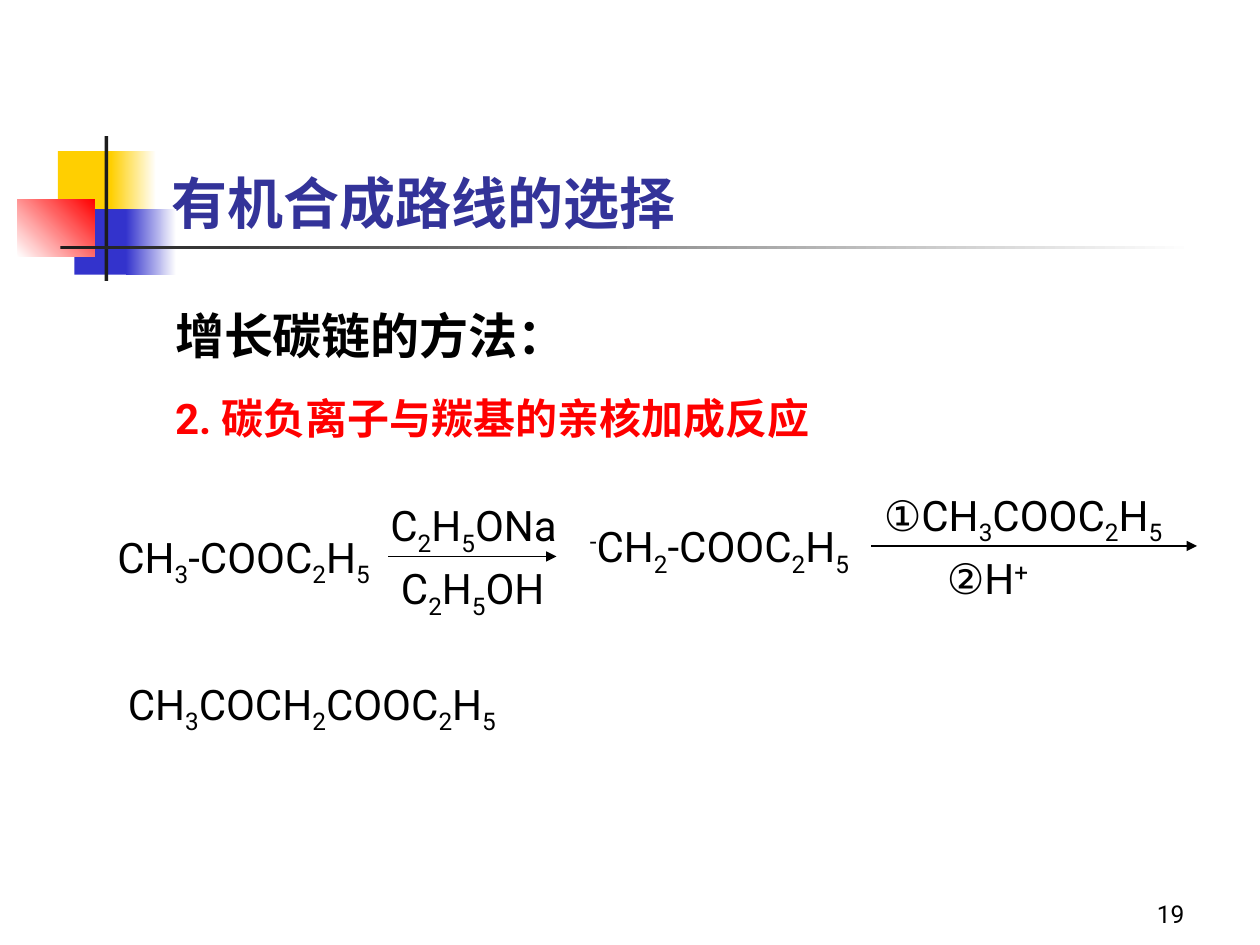
from itertools import groupby

from lxml.etree import SubElement
from pptx import Presentation
from pptx.dml.color import RGBColor
from pptx.enum.shapes import MSO_CONNECTOR, MSO_SHAPE
from pptx.enum.text import MSO_ANCHOR, MSO_AUTO_SIZE, PP_ALIGN
from pptx.oxml.ns import qn
from pptx.util import Inches, Pt

FONT = "Roboto"
BLACK, DARK, WHITE = "000000", "1C1C1C", "FFFFFF"
YELLOW, BLUE, RED = "FFCF01", "3333CC", "FF0000"
SUPERSCRIPTS = {"⁺": "+", "⁻": "-"}

ORNAMENT = [
    (0.46, 1.2, 0.48, 0.52, [YELLOW], 0),
    (0.88, 1.2, 0.36, 0.52, [YELLOW, WHITE], 0),
    (0.59, 1.66, 0.46, 0.52, [BLUE], 0),
    (1, 1.66, 0.4, 0.52, [BLUE, WHITE], 0),
    (0.14, 1.58, 0.61, 0.46, [WHITE, RED], 45),
    (0.83, 1.08, 0.03, 1.15, [DARK], 0),
    (0.48, 1.95, 9, 0.03, [DARK, WHITE], 0),
]
FORMULAS = [
    ("CH3-COOC2H5", 10, 50, 29),
    ("C2H5ONa", 36, 47, 21),
    ("C2H5OH", 37, 53, 21),
    ("⁻CH2-COOC2H5", 55, 49, 32),
    ("①CH3COOC2H5", 83, 46, 32),
    ("②H⁺", 89, 52, 13),
    ("CH3COCH2COOC2H5", 11, 64, 47),
]
ARROWS = [(37, 53, 53), (83, 114, 52)]


def grid(n):
    """Return the length of n grid units, twelve to the inch."""
    return Inches(n / 12)


def rgb(color):
    """Return the colour of a hex string."""
    return RGBColor.from_string(color)


def format_run(r, size, color=BLACK, bold=False):
    """Set the font of a run."""
    r.font.name = FONT
    r.font.size = Pt(size)
    r.font.bold = bold
    r.font.color.rgb = rgb(color)


def place(sp, left, top, width, height):
    """Move and size a shape, in inches."""
    sp.left, sp.top = Inches(left), Inches(top)
    sp.width, sp.height = Inches(width), Inches(height)


def add_block(s, left, top, width, height, colors, angle):
    """Add a rectangle with a solid or two-colour gradient fill."""
    sp = s.shapes.add_shape(MSO_SHAPE.RECTANGLE, 0, 0, 0, 0)
    place(sp, left, top, width, height)
    sp.shadow.inherit = False
    sp.line.fill.background()
    if len(colors) == 1:
        sp.fill.solid()
        sp.fill.fore_color.rgb = rgb(colors[0])
        return
    sp.fill.gradient()
    sp.fill.gradient_angle = angle
    for stop, color in zip(sp.fill.gradient_stops, colors):
        stop.color.rgb = rgb(color)


def script_of(char):
    """Return the baseline shift of a formula character."""
    if char in SUPERSCRIPTS:
        return 30000
    return -25000 if char in "0123456789" else 0


def add_formula(s, text, col, row, cols):
    """Add a chemical formula with lowered digits and raised charges."""
    tf = s.shapes.add_textbox(grid(col), grid(row), grid(cols), Inches(0.56)).text_frame
    tf.word_wrap = True
    for shift, chars in groupby(text, script_of):
        r = tf.paragraphs[0].add_run()
        r.text = "".join(SUPERSCRIPTS.get(c, c) for c in chars)
        format_run(r, 24)
        if shift:
            r._r.get_or_add_rPr().set("baseline", str(shift))


def add_arrow(s, start, end, row):
    """Add a horizontal reaction arrow."""
    line = s.shapes.add_connector(
        MSO_CONNECTOR.STRAIGHT, grid(start), grid(row), grid(end), grid(row))
    line.line.color.rgb = rgb(BLACK)
    line.line.width = Pt(0.75)
    SubElement(line.line._get_or_add_ln(), qn("a:tailEnd"), type="triangle")
    SubElement(line._element.spPr, qn("a:effectLst"))


def fill_title(sp, text):
    """Fill the title placeholder."""
    place(sp, 1.26, 0.67, 8.52, 1.25)
    tf = sp.text_frame
    tf.text = text
    tf.auto_size = MSO_AUTO_SIZE.NONE
    tf.vertical_anchor = MSO_ANCHOR.BOTTOM
    p = tf.paragraphs[0]
    p.alignment = PP_ALIGN.LEFT
    format_run(p.runs[0], 32, "333399", True)


def fill_body(sp, items):
    """Fill the body placeholder with unbulleted lines."""
    place(sp, 1.29, 2.21, 8.5, 1.38)
    tf = sp.text_frame
    tf.text = "\n".join(text for text, _, _ in items)
    tf.auto_size = MSO_AUTO_SIZE.NONE
    for i, (p, (_, size, color)) in enumerate(zip(tf.paragraphs, items)):
        p.line_spacing = 1.35
        p.space_before = Pt(6 if i else 0)
        pPr = p._p.get_or_add_pPr()
        pPr.set("marL", str(Inches(0.38)))
        pPr.set("indent", str(-Inches(0.38)))
        SubElement(pPr, qn("a:buNone"))
        format_run(p.runs[0], size, color, True)


def add_page_number(s, text):
    """Add the page number at the bottom right."""
    tf = s.shapes.add_textbox(grid(89), grid(83), grid(25), grid(6)).text_frame
    tf.word_wrap = True
    tf.vertical_anchor = MSO_ANCHOR.BOTTOM
    tf.text = text
    p = tf.paragraphs[0]
    p.alignment = PP_ALIGN.RIGHT
    format_run(p.runs[0], 14)


def main():
    """Build the slide and save it."""
    prs = Presentation()
    prs.slide_width, prs.slide_height = Inches(10), Inches(7.5)
    s = prs.slides.add_slide(prs.slide_layouts[1])
    for block in ORNAMENT:
        add_block(s, *block)
    add_page_number(s, "19")
    fill_title(s.shapes.title, "有机合成路线的选择")
    fill_body(s.placeholders[1], [
        ("增长碳链的方法：", 28, BLACK),
        ("2. 碳负离子与羰基的亲核加成反应", 24, RED),
    ])
    for formula in FORMULAS:
        add_formula(s, *formula)
    for arrow in ARROWS:
        add_arrow(s, *arrow)
    prs.save("out.pptx")


if __name__ == "__main__":
    main()
